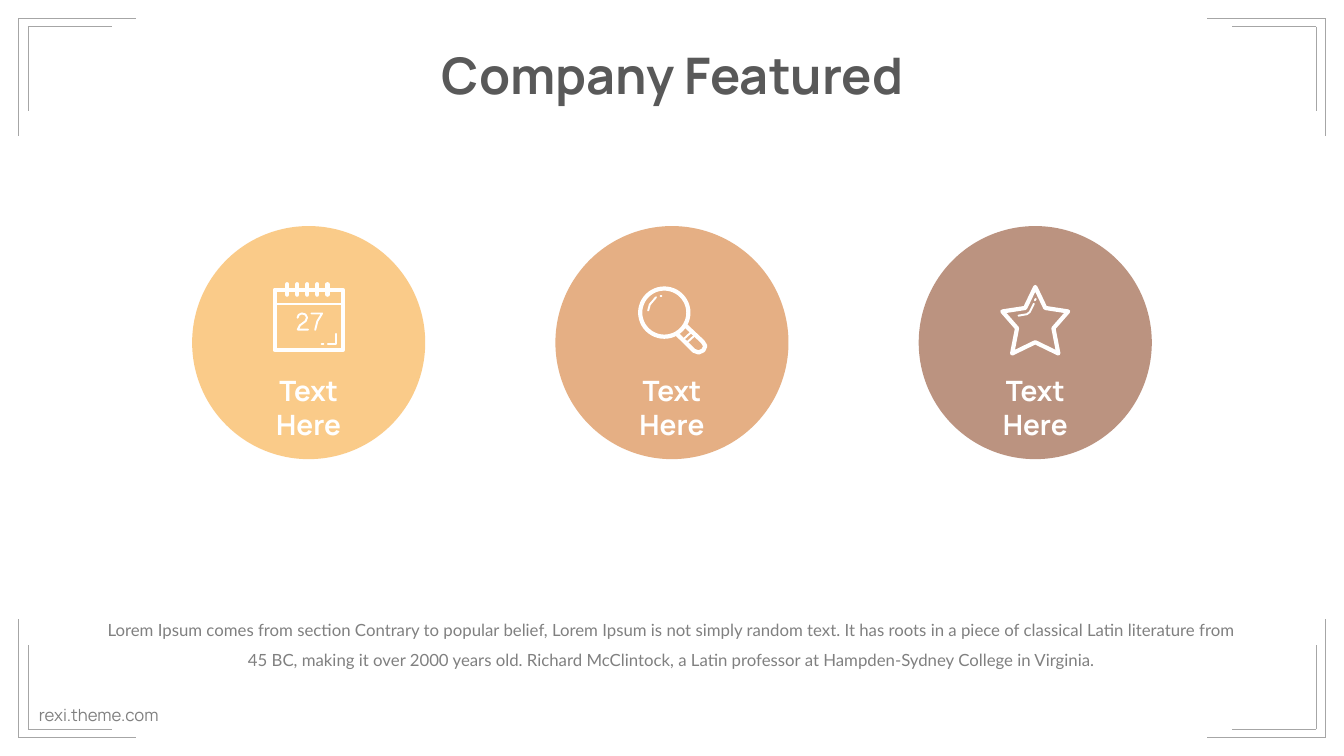
from lxml import etree
from pptx import Presentation
from pptx.dml.color import RGBColor
from pptx.enum import shapes, text
from pptx.oxml.ns import qn
from pptx.util import Pt

WIDTH, HEIGHT = 960, 540
WHITE = "FFFFFF"
GREY = "808080"
DISC_COLOURS = ("F9B658", "DA8E50", "9F664B")
DISC_TOP, DISC_SIZE = 161.5, 166.5
DISC_GAP = 259.5
ICON_Y = 228
THICK, THIN = 3, 1.4
BODY = (
    "Lorem Ipsum comes from section Contrary to popular belief, Lorem Ipsum is not "
    "simply random text. It has roots in a piece of classical Latin literature from "
    "45 BC, making it over 2000 years old. Richard McClintock, a Latin professor at "
    "Hampden-Sydney College in Virginia."
)


def colour(value):
    return RGBColor.from_string(value)


def set_line(shape, value, width, rounded=False):
    shape.line.color.rgb = colour(value)
    shape.line.width = Pt(width)
    if rounded:
        line = shape._element.spPr.find(qn("a:ln"))
        line.set("cap", "rnd")
        etree.SubElement(line, qn("a:round"))


def add_line(slide, start, end, value, width, rounded=False):
    line = slide.shapes.add_connector(
        shapes.MSO_CONNECTOR.STRAIGHT, *(Pt(v) for v in (*start, *end)))
    set_line(line, value, width, rounded)
    etree.SubElement(line._element.spPr, qn("a:effectLst"))


def add_stroke(slide, centre, points, width, close=False):
    """Draw a white round-ended line through points given relative to centre."""
    x, y = centre
    if len(points) == 2:
        start, end = [(x + dx, y + dy) for dx, dy in points]
        add_line(slide, start, end, WHITE, width, True)
        return
    # One local unit is a hundredth of a point.
    corners = [(dx * 100, dy * 100) for dx, dy in points]
    builder = slide.shapes.build_freeform(*corners[0], scale=127)
    builder.add_line_segments(corners[1:], close=close)
    shape = builder.convert_to_shape(Pt(x), Pt(y))
    shape.shadow.inherit = False
    shape.fill.background()
    set_line(shape, WHITE, width, True)


def add_oval(slide, left, top, size):
    oval = slide.shapes.add_shape(
        shapes.MSO_SHAPE.OVAL, Pt(left), Pt(top), Pt(size), Pt(size))
    oval.shadow.inherit = False
    return oval


def add_disc(slide, x, value):
    disc = add_oval(slide, x - DISC_SIZE / 2, DISC_TOP, DISC_SIZE)
    disc.fill.solid()
    disc.fill.fore_color.rgb = colour(value)
    disc.line.fill.background()
    fill_colour = disc._element.spPr.find(qn("a:solidFill"))[0]
    etree.SubElement(fill_colour, qn("a:alpha"), val="70000")


def write(shape, box, words, size, font, value, bold=False, wrap=True):
    """Place a text shape and fill it with one centred paragraph."""
    shape.left, shape.top, shape.width, shape.height = (Pt(v) for v in box)
    frame = shape.text_frame
    frame.word_wrap = wrap
    frame.auto_size = text.MSO_AUTO_SIZE.NONE
    frame.vertical_anchor = text.MSO_ANCHOR.TOP
    paragraph = frame.paragraphs[0]
    paragraph.text = words
    paragraph.alignment = text.PP_ALIGN.CENTER
    paragraph.font.size = Pt(size)
    paragraph.font.name = font
    paragraph.font.bold = bold
    paragraph.font.color.rgb = colour(value)
    return frame


def add_text(slide, *args, **options):
    return write(slide.shapes.add_textbox(0, 0, 0, 0), *args, **options)


def add_corner_frames(slide):
    for inset_x, inset_y, length in ((13, 13, 84.5), (20, 19, 60)):
        for x, inward_x in ((inset_x, 1), (WIDTH - inset_x, -1)):
            for y, inward_y in ((inset_y, 1), (HEIGHT - inset_y, -1)):
                for end in ((x + inward_x * length, y), (x, y + inward_y * length)):
                    add_line(slide, (x, y), end, "A6A6A6", 0.5)


def add_calendar(slide, centre):
    page = [(-24.3, -21), (24.3, -21), (24.3, 22), (-24.3, 22)]
    add_stroke(slide, centre, page, THICK, close=True)
    for ring in range(5):
        x = -15.4 + 7.2 * ring
        add_stroke(slide, centre, [(x, -25), (x, -17.5)], THICK)
    digit_two = [(-8, -1), (-7.2, -3), (-5, -4.1), (-2.4, -3.4), (-1.2, -1.2),
                 (-2.2, 1.4), (-6.3, 4.4), (-7.8, 7.4), (-0.5, 7.4)]
    digit_seven = [(2, -4.1), (9.6, -4.1), (6.2, 1.5), (4.7, 7.6)]
    header = [(-24, -10.6), (23, -10.6)]
    page_corner = [(13.7, 17.9), (19.4, 17.9), (19.4, 10.5)]
    dash = [(9.2, 17.9), (10.6, 17.9)]
    for points in (header, digit_two, digit_seven, page_corner, dash):
        add_stroke(slide, centre, points, THIN)


def add_magnifier(slide, centre):
    x, y = centre
    radius = 17.2
    lens = add_oval(slide, x - 5.5 - radius, y - 4.7 - radius, 2 * radius)
    lens.fill.background()
    set_line(lens, WHITE, THICK)
    handle = [(3.7, 10.8), (15.7, 22.6), (19, 23.8), (22.4, 22.3),
              (23.8, 19.2), (22, 16.2), (9.8, 4.7)]
    add_stroke(slide, centre, handle, THICK)
    glare = [(-17, -6.2), (-15.8, -10.5), (-11.4, -15.7)]
    glint = [(-8.2, -16.5), (-7.5, -16.5)]
    bands = [[(8.9 + shift, 13.7 + shift), (13.6 + shift, 9.4 + shift)]
             for shift in (0, 2.4)]
    for points in (glare, glint, *bands):
        add_stroke(slide, centre, points, THIN)


def add_star(slide, centre):
    right = [(7.2, -8), (23.5, -5.5), (13, 6.5), (16.5, 24.5)]
    left = [(-x, y) for x, y in reversed(right)]
    outline = [(0, -23), *right, (0, 16.5), *left]
    add_stroke(slide, centre, outline, THICK, close=True)
    glare = [(-12, -2.5), (-6, -3.5), (-4, -5), (-1, -11)]
    glint = [(-0.3, -13.5), (0.3, -14.5)]
    for points in (glare, glint):
        add_stroke(slide, centre, points, THIN)


def main():
    presentation = Presentation()
    presentation.slide_width, presentation.slide_height = Pt(WIDTH), Pt(HEIGHT)
    slide = presentation.slides.add_slide(presentation.slide_layouts[5])

    add_corner_frames(slide)
    add_text(slide, (20, 500, 101, 21.5), "rexi.theme.com", 12, "Manrope", GREY,
             wrap=False)
    write(slide.shapes.title, (304, 28, 353, 51), "Company Featured", 36, "Manrope",
          "595959", bold=True, wrap=False)

    icons = (add_calendar, add_magnifier, add_star)
    for column, (value, add_icon) in enumerate(zip(DISC_COLOURS, icons)):
        x = WIDTH / 2 + (column - 1) * DISC_GAP
        add_disc(slide, x, value)
        add_icon(slide, (x, ICON_Y))
        label = add_text(slide, (x - 52.5, 263.5, 105, 31.5), "Text Here", 20,
                         "Manrope", WHITE, bold=True)
        label.margin_left = label.margin_right = Pt(24)

    body = add_text(slide, (62.5, 432, 834.5, 48), BODY, 12, "Lato", GREY)
    body.paragraphs[0].line_spacing = 1.5
    presentation.save("out.pptx")


if __name__ == "__main__":
    main()
